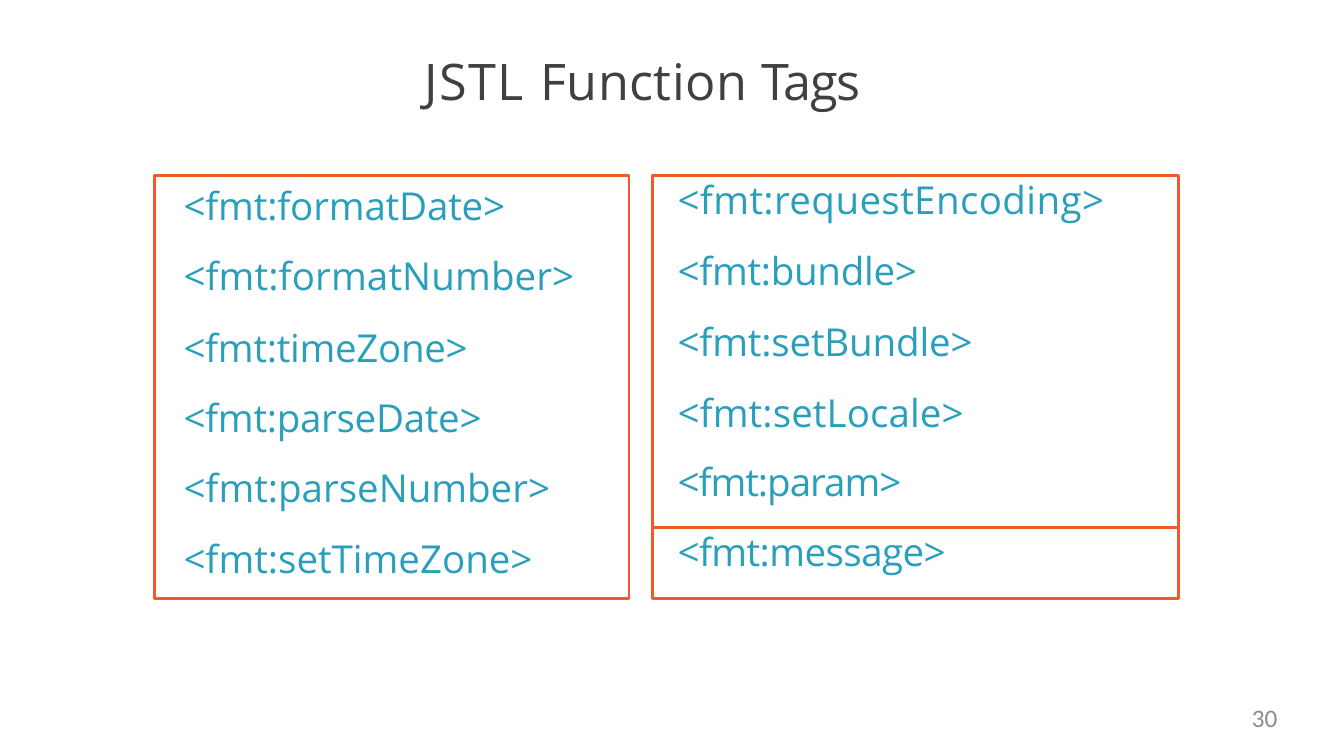
import pptx
import pptx.util
import pptx.dml.color
import pptx.enum.shapes
import pptx.enum.text

Inches, Pt = pptx.util.Inches, pptx.util.Pt
ALIGN = pptx.enum.text.PP_ALIGN

TITLE = {"size": 36, "name": "Open Sans", "color": "404040"}
TAG = {"size": 27.5, "name": "Open Sans", "color": "2A9FBC"}
NUMBER = {"size": 18, "name": "Calibri", "color": "8C8C8C"}
BORDER = "F05A28"

title = [(1, [("JSTL ", 1.1), ("Function ", 0.3), ("Tags", -1.1)])]
number = [(0, [("30", 0)])]
format_tags = [
    (5, [("<fmt:formatDate>", -0.1)]),
    (16.9, [("<fmt:formatNumber>", 0.1)]),
    (18.1, [("<fmt:timeZone>", -0.2)]),
    (16.9, [("<fmt:parseDate>", -0.2)]),
    (16.9, [("<fmt:parseNumber>", 0)]),
    (18.1, [("<fmt:setTimeZone>", 0)]),
]
message_tag = [(0.7, [("<fmt:message>", -0.4)])]
bundle_tags = [
    (0.5, [("<fmt:requestEncoding>", 0.3)]),
    (17.1, [("<fmt:bundle>", -0.2)]),
    (17.9, [("<fmt:setBundle>", -0.1)]),
    (17.9, [("<fmt:setLocale>", 0.1)]),
    (16.2, [("<fmt:param>", -0.7)]),
]

TOP, BOTTOM, SPLIT = 1.74, 5.94, 5.23
LEFT_X, LEFT_W, RIGHT_X, RIGHT_W = 1.53, 4.71, 6.47, 5.22
boxes = [
    ((LEFT_X, TOP, LEFT_W, BOTTOM - TOP), format_tags, 0.07, 0.29),
    ((RIGHT_X, SPLIT, RIGHT_W, BOTTOM - SPLIT), message_tag, 0.01, 0.25),
    ((RIGHT_X, TOP, RIGHT_W, SPLIT - TOP), bundle_tags, 0.01, 0.25),
]

prs = pptx.Presentation()
prs.slide_width, prs.slide_height = Inches(13.33), Inches(7.5)
slide = prs.slides.add_slide(prs.slide_layouts[6])


def rgb(value):
    return pptx.dml.color.RGBColor.from_string(value)


def write(sp, paragraphs, style, top=0, indent=0, align=ALIGN.LEFT):
    tf = sp.text_frame
    frame = {"margin_left": 0, "margin_right": 0, "margin_bottom": 0,
             "margin_top": Inches(top), "word_wrap": True,
             "vertical_anchor": pptx.enum.text.MSO_ANCHOR.TOP}
    for key, value in frame.items():
        setattr(tf, key, value)
    for i, (before, runs) in enumerate(paragraphs):
        p = tf.paragraphs[0] if i == 0 else tf.add_paragraph()
        p.alignment = align
        p.space_before = Pt(before)
        p._p.get_or_add_pPr().set("marL", str(Inches(indent)))
        for text, spacing in runs:
            r = p.add_run()
            r.text = text
            r.font.size = Pt(style["size"])
            r.font.name = style["name"]
            r.font.color.rgb = rgb(style["color"])
            r._r.get_or_add_rPr().set("spc", str(round(spacing * 100)))


def add_text(at, *args, **kwargs):
    write(slide.shapes.add_textbox(*map(Inches, at)), *args, **kwargs)


def add_box(at, paragraphs, top, indent):
    sp = slide.shapes.add_shape(pptx.enum.shapes.MSO_SHAPE.RECTANGLE, *map(Inches, at))
    sp.shadow.inherit = False
    sp.fill.background()
    sp.line.color.rgb = rgb(BORDER)
    sp.line.width = Pt(2)
    write(sp, paragraphs, TAG, top, indent)


add_text((4.2, 0.49, 4.85, 0.63), title, TITLE, top=0.01, indent=0.01)
for box in boxes:
    add_box(*box)
add_text((9.6, 6.97, 3.07, 0.38), number, NUMBER, align=ALIGN.RIGHT)

prs.save("out.pptx")
